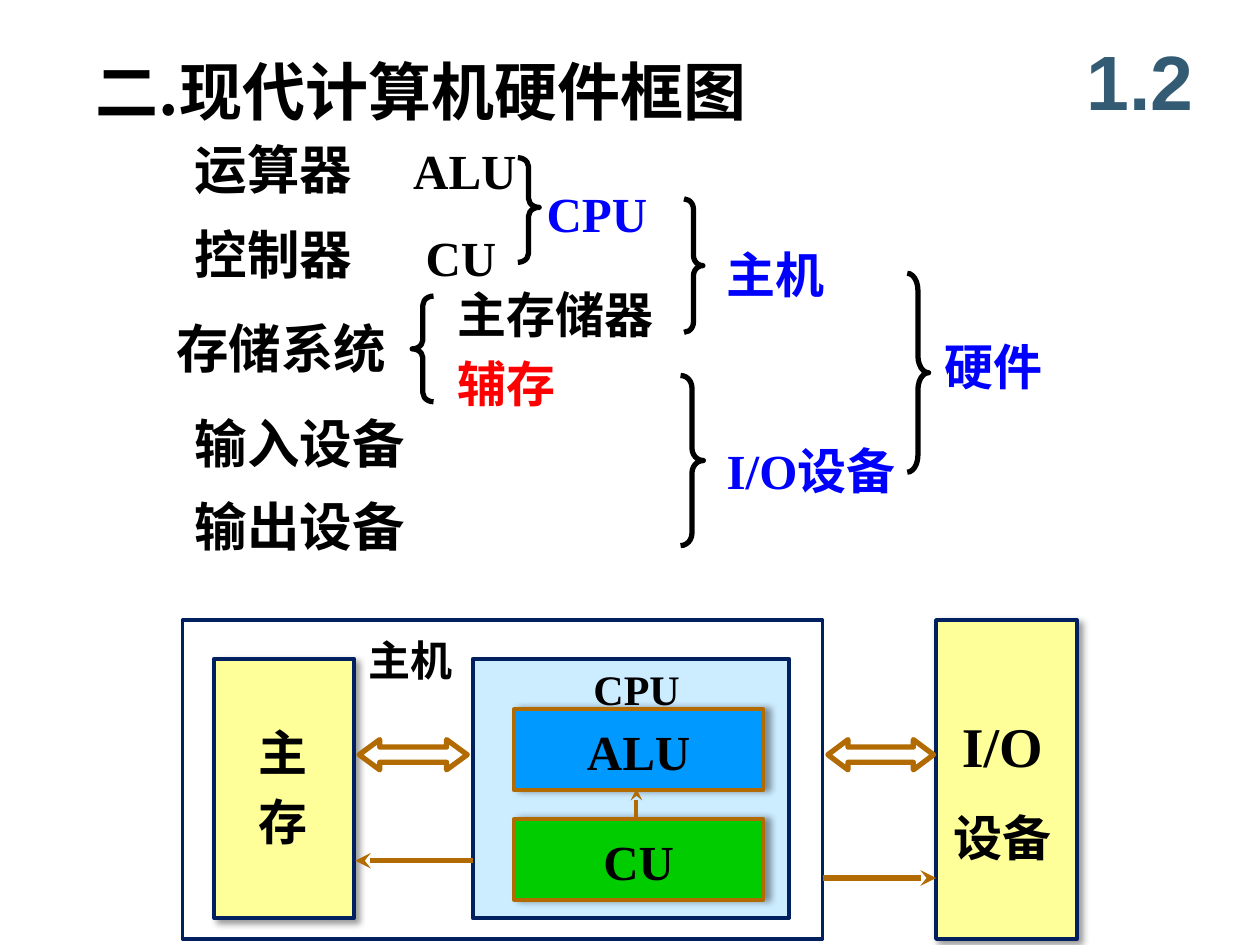
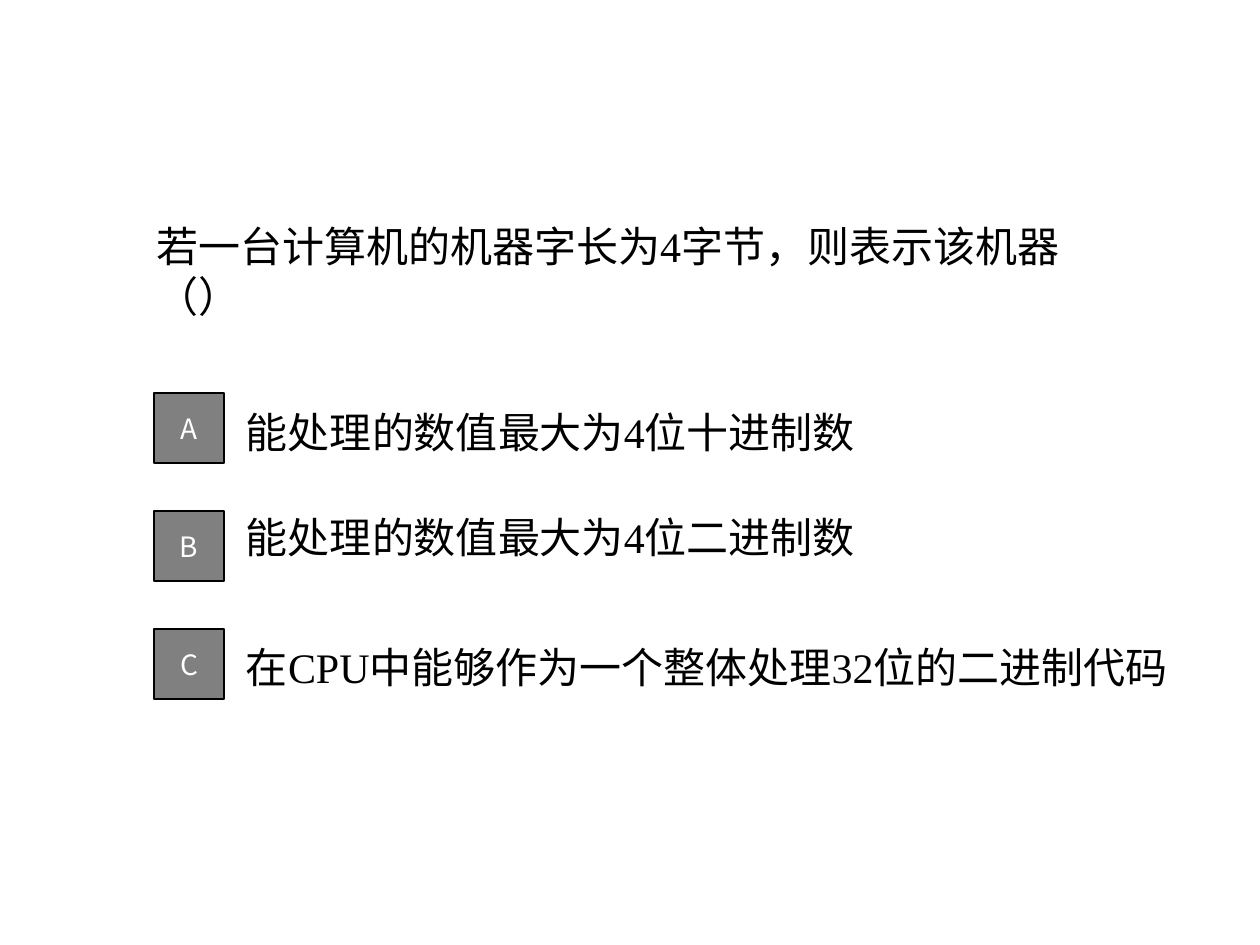
from dataclasses import dataclass
from typing import Optional

import pptx
import pptx.dml.color
import pptx.enum.shapes
import pptx.enum.text
import pptx.oxml
import pptx.oxml.ns
import pptx.util
from lxml import etree

Cm = pptx.util.Cm
Pt = pptx.util.Pt
PRESET = pptx.enum.shapes.MSO_SHAPE
ALIGN = pptx.enum.text.PP_ALIGN
ANCHOR = pptx.enum.text.MSO_ANCHOR

# Shared style
SERIF, SANS, NUMBER_FONT = "Times New Roman", "Noto Sans CJK SC", "Arial"
BLACK, WHITE, BLUE, RED = "000000", "FFFFFF", "0000FF", "FF0000"
NAVY, BROWN, YELLOW, GREY = "002060", "B26B02", "FFFF99", "808080"
INSET = 0.25
CJK_LINE = 1.18


@dataclass(frozen=True)
class Run:
    text: str
    size: float = 28
    font: str = SERIF
    color: str = BLACK
    bold: bool = True


@dataclass(frozen=True)
class Label:
    left: float
    top: float
    width: float
    height: float
    paragraphs: tuple[tuple[Run, ...], ...]
    gap: float = 0
    align: ALIGN = ALIGN.LEFT
    anchor: ANCHOR = ANCHOR.TOP
    side: float = INSET
    right: float = 0
    inset_top: float = INSET


@dataclass(frozen=True)
class Box:
    left: float
    top: float
    width: float
    height: float
    kind: PRESET = PRESET.RECTANGLE
    fill: Optional[str] = None
    line: str = NAVY
    weight: float = 2.13
    adjustments: tuple[float, ...] = ()
    shadow_angle: Optional[int] = None
    caption: Optional[Run] = None
    anchor: ANCHOR = ANCHOR.TOP


@dataclass(frozen=True)
class Arrow:
    x1: float
    y1: float
    x2: float
    y2: float
    weight: float = 3


def rgb(value: str) -> pptx.dml.color.RGBColor:
    return pptx.dml.color.RGBColor.from_string(value)


def add_run(paragraph, part: Run) -> None:
    run = paragraph.add_run()
    run.text = part.text
    run.font.size = Pt(part.size)
    run.font.bold = part.bold
    run.font.name = part.font
    run.font.color.rgb = rgb(part.color)
    east_asian = etree.SubElement(run.font._element, pptx.oxml.ns.qn("a:ea"))
    east_asian.set("typeface", SANS)


def write(frame, paragraphs: tuple[tuple[Run, ...], ...], gap: float,
          align: ALIGN) -> None:
    for index, parts in enumerate(paragraphs):
        paragraph = frame.add_paragraph() if index else frame.paragraphs[0]
        paragraph.alignment = align
        if index:
            paragraph.space_before = Pt(gap)
        # Chinese lines get a fixed pitch so that they match the Latin ones
        if any(ord(char) > 0x2E80 for part in parts for char in part.text):
            paragraph.line_spacing = Pt(CJK_LINE * max(p.size for p in parts))
        for part in parts:
            add_run(paragraph, part)


def set_insets(frame, left: float, top: float, right: float) -> None:
    frame.margin_left, frame.margin_right = Cm(left), Cm(right)
    frame.margin_top, frame.margin_bottom = Cm(top), Cm(0.13)


def add_label(slide, label: Label) -> None:
    frame = slide.shapes.add_textbox(Cm(label.left), Cm(label.top),
                                     Cm(label.width), Cm(label.height)).text_frame
    frame.word_wrap = True
    frame.vertical_anchor = label.anchor
    centred = label.align == ALIGN.CENTER
    set_insets(frame, 0 if centred else label.side, label.inset_top,
               0 if centred else label.right)
    write(frame, label.paragraphs, label.gap, label.align)


def add_shadow(shape, angle: int) -> None:
    effects = shape._element.spPr.find(pptx.oxml.ns.qn("a:effectLst"))
    effects.append(pptx.oxml.parse_xml(
        f'<a:outerShdw {pptx.oxml.ns.nsdecls("a")} blurRad="{Pt(4)}" '
        f'dist="{Pt(3)}" dir="{angle * 60000}" algn="tl" rotWithShape="0">'
        f'<a:srgbClr val="{BLACK}"><a:alpha val="40000"/></a:srgbClr>'
        '</a:outerShdw>'))


def add_box(slide, box: Box) -> None:
    shape = slide.shapes.add_shape(box.kind, Cm(box.left), Cm(box.top),
                                   Cm(box.width), Cm(box.height))
    shape.shadow.inherit = False
    for index, value in enumerate(box.adjustments):
        shape.adjustments[index] = value
    if box.fill:
        shape.fill.solid()
        shape.fill.fore_color.rgb = rgb(box.fill)
    else:
        shape.fill.background()
    shape.line.color.rgb = rgb(box.line)
    shape.line.width = Pt(box.weight)
    if box.shadow_angle is not None:
        add_shadow(shape, box.shadow_angle)
    if box.caption:
        frame = shape.text_frame
        frame.vertical_anchor = box.anchor
        set_insets(frame, 0, INSET if box.anchor == ANCHOR.TOP else 0.13, 0)
        write(frame, ((box.caption,),), 0, ALIGN.CENTER)


def add_arrow(slide, arrow: Arrow) -> None:
    line = slide.shapes.add_connector(
        pptx.enum.shapes.MSO_CONNECTOR.STRAIGHT,
        Cm(arrow.x1), Cm(arrow.y1), Cm(arrow.x2), Cm(arrow.y2))
    line.line.color.rgb = rgb(BROWN)
    line.line.width = Pt(arrow.weight)
    head = etree.SubElement(line.line._get_or_add_ln(), pptx.oxml.ns.qn("a:tailEnd"))
    head.set("type", "stealth")
    etree.SubElement(line._element.spPr, pptx.oxml.ns.qn("a:effectLst"))


def brace(left: float, top: float, width: float, height: float, curl: float,
          tip: float = 0.5, kind: PRESET = PRESET.RIGHT_BRACE) -> Box:
    return Box(left, top, width, height, kind, None, BLACK, 3, (curl, tip))


def term(left: float, top: float, width: float, text: str, font: str = SANS,
         color: str = BLUE) -> Label:
    return Label(left, top, width, 1.45, ((Run(text, 28, font, color),),))


def component(left: float, top: float, text: str) -> Label:
    return Label(left, top, 5.9, 1.53, ((Run(text, 30, SANS),),))


def block_title(left: float, top: float, text: str, font: str,
                align: ALIGN) -> Label:
    return Label(left, top, 1.75, 0.97, ((Run(text, 24, font),),),
                 align=align, side=0, inset_top=0.1)


def bus(left: float, width: float, head: float) -> Box:
    return Box(left, 14.91, width, 0.61, PRESET.LEFT_RIGHT_ARROW, None, BROWN, 3,
               (0.5, head))


def unit(top: float, text: str, fill: str) -> Box:
    return Box(10.36, top, 5.03, 1.63, fill=fill, line=BROWN, shadow_angle=0,
               caption=Run(text))


# Slide 1: classification of the hardware
HARDWARE_TREE = (
    term(8.08, 2.59, 2.59, "ALU", SERIF, BLACK),
    term(8.33, 4.34, 2.2, "CU", SERIF, BLACK),
    Label(8.97, 5.51, 4.52, 2.9,
          ((Run("主存储器", font=SANS),), (Run("辅存", font=SANS, color=RED),)),
          gap=6.3),
    brace(8.31, 5.97, 0.43, 2.13, 0.418, kind=PRESET.LEFT_BRACE),
    brace(10.44, 3.18, 0.43, 2.11, 0.417, 0.475),
    term(10.77, 3.45, 2.54, "CPU", SERIF),
    brace(13.79, 4.01, 0.38, 2.69, 0.542),
    term(14.4, 4.7, 2.49, "主机"),
    term(14.4, 8.66, 4.9, "I/O设备", SERIF),
    brace(13.72, 7.57, 0.46, 3.43, 0.543),
    brace(18.29, 5.51, 0.43, 4.01, 0.792),
    term(18.8, 6.55, 2.49, "硬件"),
    component(3.68, 2.54, "运算器"),
    component(3.68, 4.24, "控制器"),
    component(3.3, 6.15, "存储系统"),
    component(3.68, 8.05, "输入设备"),
    component(3.68, 9.73, "输出设备"),
)

# Slide 1: block diagram
BLOCK_DIAGRAM = (
    Box(9.53, 13.28, 6.38, 5.23, fill="CCECFF"),
    unit(14.3, "ALU", "0099FF"),
    block_title(11.96, 13.28, "CPU", SERIF, ALIGN.CENTER),
    Box(3.68, 12.5, 12.9, 6.43),
    block_title(7.42, 12.7, "主机", SANS, ALIGN.LEFT),
    Box(18.87, 12.5, 2.84, 6.43, fill=YELLOW, shadow_angle=45),
    Label(18.82, 14.1, 2.77, 3.23, ((Run("I/O", 32),), (Run("设备"),)),
          gap=17, align=ALIGN.CENTER),
    unit(16.51, "CU", "00CC00"),
    Arrow(12.83, 16.51, 12.83, 15.9, 2.25),
    Box(4.32, 13.28, 2.82, 5.23, fill=YELLOW, shadow_angle=45),
    Label(4.95, 14.33, 1.52, 2.74, ((Run("主", font=SANS),), (Run("存", font=SANS),)),
          gap=6.3, align=ALIGN.CENTER),
    Arrow(16.59, 17.7, 18.87, 17.7),
    Arrow(9.53, 17.35, 7.16, 17.35),
    bus(7.24, 2.18, 0.683),
    bus(16.69, 2.13, 0.667),
)


def draw(slide, items: tuple) -> None:
    painters = {Label: add_label, Box: add_box, Arrow: add_arrow}
    for item in items:
        painters[type(item)](slide, item)


def build_hardware(slide) -> None:
    heading = Label(1.68, 0.84, 16.1, 1.78,
                    ((Run("二", 36), Run(".现代计算机硬件框图", 36, SANS)),))
    section = Label(21.39, 0.43, 3.18, 2.34,
                    ((Run("1.2", 44, NUMBER_FONT, "335B74"),),),
                    align=ALIGN.CENTER, anchor=ANCHOR.MIDDLE, inset_top=0.13)
    draw(slide, (heading, section) + HARDWARE_TREE + BLOCK_DIAGRAM)


# Slide 2: multiple-choice question
def quiz_text(left: float, top: float, width: float, height: float,
              text: str) -> Label:
    return Label(left, top, width, height, ((Run(text, 24, bold=False),),),
                 anchor=ANCHOR.MIDDLE, right=INSET)


def build_quiz(slide) -> None:
    draw(slide, (quiz_text(2.9, 2.44, 20.32, 5.94,
                           "若一台计算机的机器字长为4字节，则表示该机器（）"),))
    options = (
        ("A", 7.77, "能处理的数值最大为4位十进制数"),
        ("B", 9.87, "能处理的数值最大为4位二进制数"),
        ("C", 12.5, "在CPU中能够作为一个整体处理32位的二进制代码"),
    )
    for row, (letter, answer_top, answer) in enumerate(options):
        marker = Box(3.1, 7.92 + 2.38 * row, 1.42, 1.42, fill=GREY, line=BLACK,
                     weight=1, caption=Run(letter, 16, SANS, WHITE, False),
                     anchor=ANCHOR.MIDDLE)
        draw(slide, (quiz_text(4.71, answer_top, 19.23, 1.78, answer), marker))


def main() -> None:
    deck = pptx.Presentation()
    deck.slide_width, deck.slide_height = Cm(25.4), Cm(19.05)
    blank = deck.slide_layouts[6]
    for build in (build_hardware, build_quiz):
        build(deck.slides.add_slide(blank))
    deck.save("out.pptx")


if __name__ == "__main__":
    main()
